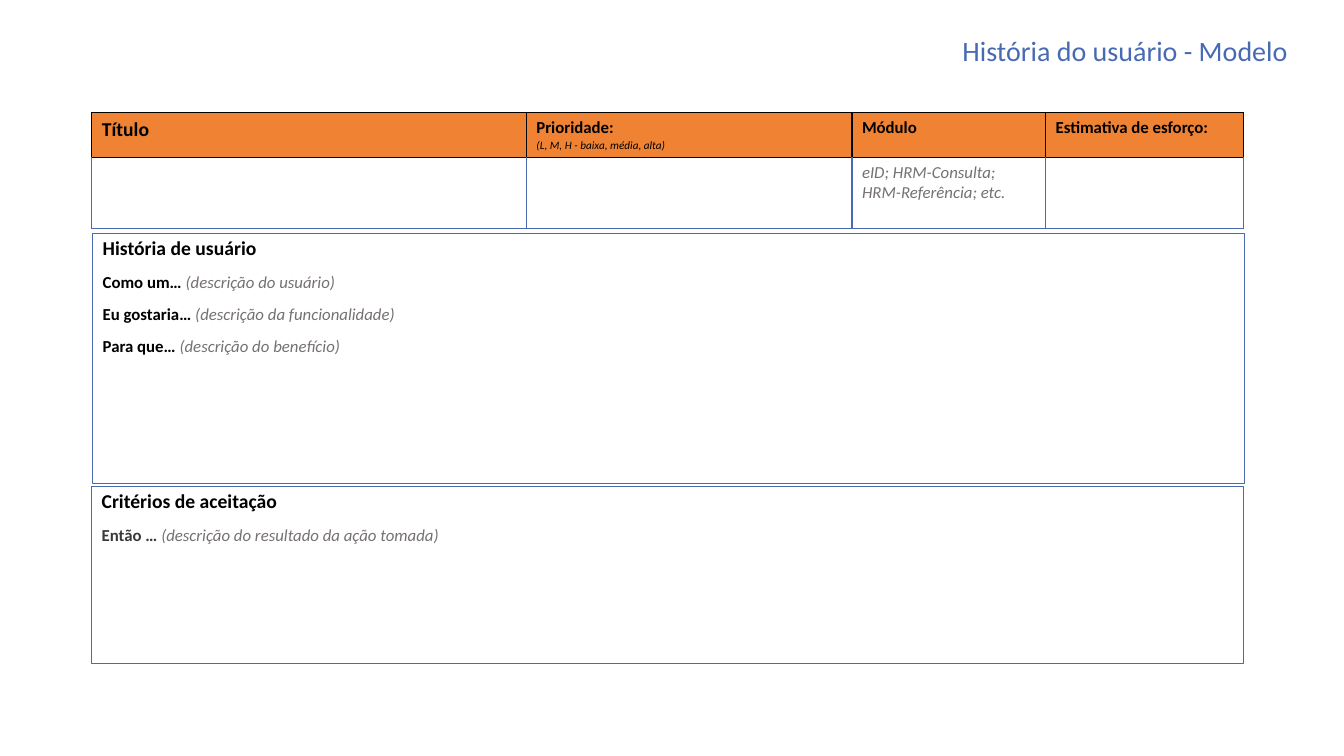
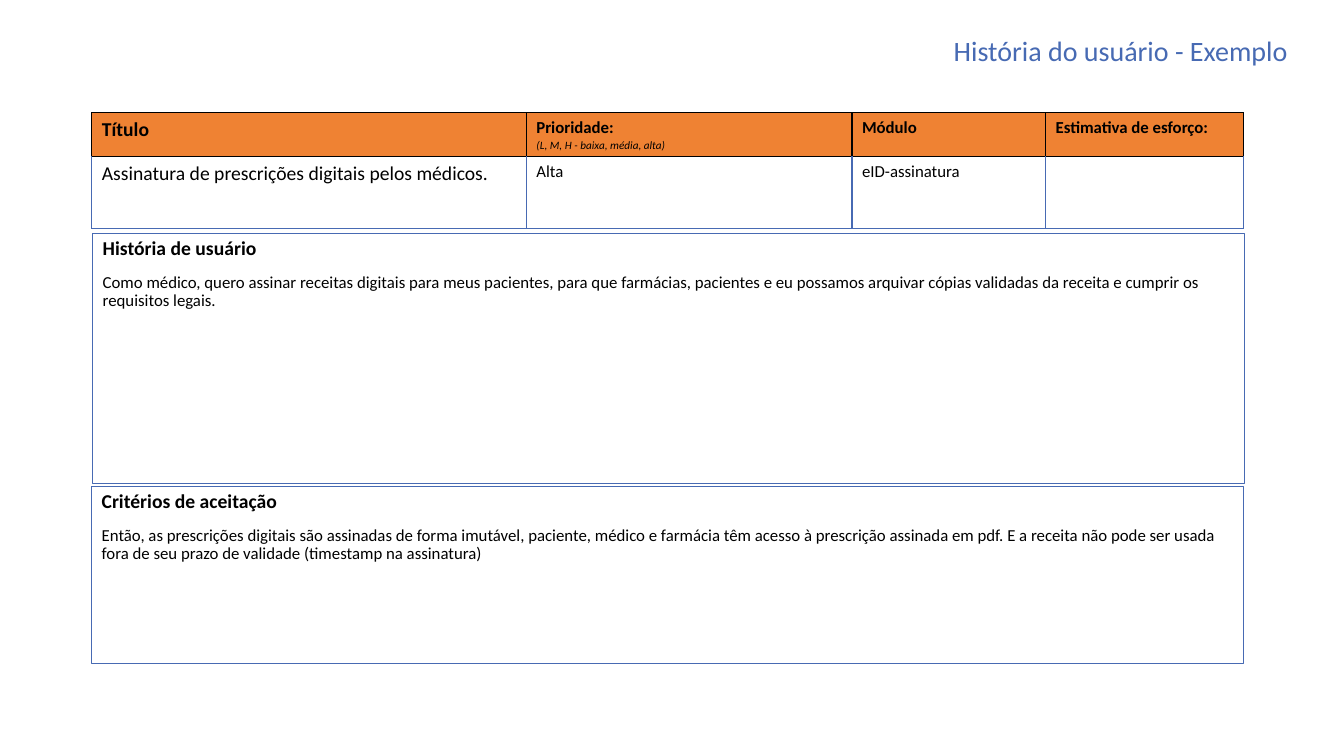
from typing import NamedTuple

from lxml import etree
from pptx import Presentation
from pptx.dml.color import RGBColor
from pptx.enum.shapes import MSO_SHAPE
from pptx.enum.text import MSO_ANCHOR, PP_ALIGN
from pptx.oxml.ns import qn
from pptx.util import Inches, Pt

RECTANGLE = MSO_SHAPE.RECTANGLE
TOP, MIDDLE = MSO_ANCHOR.TOP, MSO_ANCHOR.MIDDLE
LEFT, RIGHT = PP_ALIGN.LEFT, PP_ALIGN.RIGHT

# Colours
BLACK = RGBColor(0x00, 0x00, 0x00)
BLUE = RGBColor(0x47, 0x6A, 0xB3)
ORANGE = RGBColor(0xEF, 0x82, 0x33)
GREY = RGBColor(0x76, 0x71, 0x71)
DARK_GREY = RGBColor(0x3B, 0x38, 0x38)


class TextStyle(NamedTuple):
    size: int
    color: RGBColor = BLACK
    bold: bool = False
    italic: bool = False


# Text styles
TITLE = TextStyle(20, BLUE)
HEADING = TextStyle(14, bold=True)
LABEL = TextStyle(12, bold=True)
RESULT_LABEL = TextStyle(12, DARK_GREY, bold=True)
HINT = TextStyle(12, GREY, italic=True)
SMALL_NOTE = TextStyle(8, italic=True)
LARGE_BODY = TextStyle(14)
BODY = TextStyle(12)

# Table layout and header, the same on every story card
COLUMN_WIDTHS = (4.31, 3.23, 1.92, 1.96)
ROW_HEIGHTS = (0.43, 0.71)
HEADER = [
    [[("Título", HEADING)]],
    [[("Prioridade: ", LABEL)], [("(L, M, H - baixa, média, alta)", SMALL_NOTE)]],
    [[("Módulo", LABEL)]],
    [[("Estimativa de esforço:", LABEL)]],
]


class StoryDeck:
    font = "Calibri"

    def __init__(self):
        self.presentation = Presentation()
        self.presentation.slide_width = Inches(13.33)
        self.presentation.slide_height = Inches(7.5)
        self.slide = None

    def add_slide(self):
        self.slide = self.presentation.slides.add_slide(self.presentation.slide_layouts[6])

    def fill_text(self, text_frame, paragraphs, align=LEFT, line_spacing=None, space_before=None):
        """Fill a text frame with paragraphs, each a list of (text, style) runs."""
        text_frame.word_wrap = True
        for index, runs in enumerate(paragraphs):
            paragraph = text_frame.paragraphs[0] if index == 0 else text_frame.add_paragraph()
            paragraph.alignment = align
            paragraph.line_spacing = line_spacing
            paragraph.space_before = space_before
            for text, style in runs:
                run = paragraph.add_run()
                run.text = text
                run.font.name = self.font
                run.font.size = Pt(style.size)
                run.font.bold = style.bold
                run.font.italic = style.italic
                run.font.color.rgb = style.color

    def add_title(self, text):
        box = self.slide.shapes.add_textbox(Inches(8.99), Inches(0.31), Inches(3.88), Inches(0.43))
        box.text_frame.vertical_anchor = MIDDLE
        self.fill_text(box.text_frame, [[(text, TITLE)]], align=RIGHT, line_spacing=0.9)

    def add_panel(self, left, top, height, heading, paragraphs):
        panel = self.slide.shapes.add_shape(
            RECTANGLE, Inches(left), Inches(top), Inches(11.42), Inches(height))
        panel.shadow.inherit = False
        panel.fill.background()
        panel.line.color.rgb = BLUE
        panel.line.width = Pt(0.75)
        panel.text_frame.vertical_anchor = TOP
        self.fill_text(panel.text_frame, [[(heading, HEADING)], *paragraphs],
                       line_spacing=0.9, space_before=Pt(10))

    def set_borders(self, cell, side_color):
        properties = cell._tc.get_or_add_tcPr()
        sides = {"a:lnL": side_color, "a:lnR": side_color, "a:lnT": BLACK, "a:lnB": side_color}
        for tag, color in sides.items():
            line = etree.SubElement(properties, qn(tag), w=str(Pt(1)))
            fill = etree.SubElement(line, qn("a:solidFill"))
            etree.SubElement(fill, qn("a:srgbClr"), val=str(color))

    def add_table(self, values):
        table = self.slide.shapes.add_table(
            len(ROW_HEIGHTS), len(COLUMN_WIDTHS), Inches(0.91), Inches(1.12),
            Inches(sum(COLUMN_WIDTHS)), Inches(sum(ROW_HEIGHTS))).table
        table.horz_banding = False
        for column, width in zip(table.columns, COLUMN_WIDTHS):
            column.width = Inches(width)
        for row, height in zip(table.rows, ROW_HEIGHTS):
            row.height = Inches(height)
        for row_index, contents in enumerate((HEADER, values)):
            for column_index, paragraphs in enumerate(contents):
                cell = table.cell(row_index, column_index)
                self.set_borders(cell, BLUE if row_index else BLACK)
                if row_index:
                    cell.fill.background()
                else:
                    cell.fill.solid()
                    cell.fill.fore_color.rgb = ORANGE
                self.fill_text(cell.text_frame, paragraphs)

    def add_story(self, title, values, story, criteria):
        self.add_slide()
        self.add_panel(0.92, 2.32, 2.48, "História de usuário", story)
        self.add_panel(0.91, 4.83, 1.75, "Critérios de aceitação", criteria)
        self.add_table(values)
        self.add_title(title)


deck = StoryDeck()

# Template card
deck.add_story(
    "História do usuário - Modelo",
    values=[[], [], [[("eID; HRM-Consulta; HRM-Referência; etc.", HINT)]], []],
    story=[
        [("Como um… ", LABEL), ("(descrição do usuário)", HINT)],
        [("Eu gostaria… ", LABEL), ("(descrição da funcionalidade)", HINT)],
        [("Para que… ", LABEL), ("(descrição do benefício)", HINT)],
    ],
    criteria=[[("Então … ", RESULT_LABEL), ("(descrição do resultado da ação tomada)", HINT)]],
)

# Example card
deck.add_story(
    "História do usuário - Exemplo",
    values=[
        [[("Assinatura de prescrições digitais pelos médicos.", LARGE_BODY)]],
        [[("Alta", BODY)]],
        [[("eID-assinatura", BODY)]],
        [],
    ],
    story=[[(
        "Como médico, quero assinar receitas digitais para meus pacientes, para que farmácias, "
        "pacientes e eu possamos arquivar cópias validadas da receita e cumprir os requisitos "
        "legais.", BODY)]],
    criteria=[[(
        "Então, as prescrições digitais são assinadas de forma imutável, paciente, médico e "
        "farmácia têm acesso à prescrição assinada em pdf. E a receita não pode ser usada fora "
        "de seu prazo de validade (timestamp na assinatura)", BODY)]],
)

deck.presentation.save("out.pptx")
